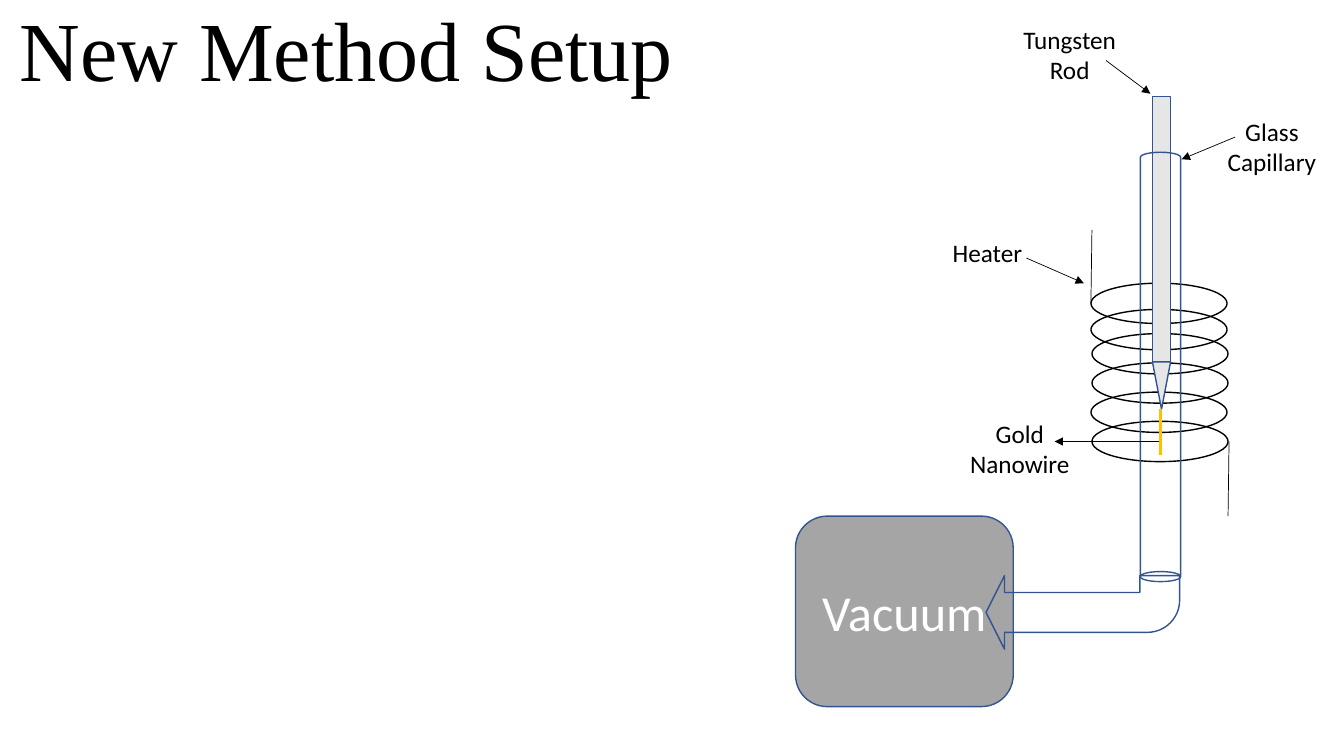
from lxml.etree import SubElement
from pptx import Presentation
from pptx.dml.color import RGBColor
from pptx.enum.shapes import MSO_CONNECTOR, MSO_SHAPE
from pptx.enum.text import MSO_ANCHOR, PP_ALIGN
from pptx.oxml.ns import qn
from pptx.util import Pt

PX = 9144  # 100 px to the inch
COLORS = {
    "black": "000000",
    "white": "FFFFFF",
    "blue": "325491",
    "vacuum": "A5A5A5",
    "tungsten": "E7E6E6",
    "gold": "FFC000",
}

presentation = Presentation()
presentation.slide_width = 1333 * PX
presentation.slide_height = 750 * PX
slide = presentation.slides.add_slide(presentation.slide_layouts[6])


def write(shape, lines, size, font="Calibri", color="black", align=PP_ALIGN.CENTER):
    frame = shape.text_frame
    frame.word_wrap = True
    frame.text = "\n".join(lines)
    for paragraph in frame.paragraphs:
        paragraph.alignment = align
        paragraph.font.size = Pt(size)
        paragraph.font.name = font
        paragraph.font.color.rgb = RGBColor.from_string(COLORS[color])
    return frame


def add_outlined(kind, box, line="blue", fill=None, rotation=0):
    shape = slide.shapes.add_shape(kind, *(value * PX for value in box))
    shape.shadow.inherit = False
    shape.rotation = rotation
    shape.line.color.rgb = RGBColor.from_string(COLORS[line])
    shape.line.width = Pt(1)
    if fill:
        shape.fill.solid()
        shape.fill.fore_color.rgb = RGBColor.from_string(COLORS[fill])
    else:
        shape.fill.background()
    return shape


# Title
title = slide.shapes.add_textbox(0, 0, 687 * PX, 104 * PX)
title_frame = write(title, ["New Method Setup"], 60, "Times New Roman")
title_frame.vertical_anchor = MSO_ANCHOR.BOTTOM
title_frame.paragraphs[0].line_spacing = 0.9

# Vacuum chamber
vacuum = add_outlined(MSO_SHAPE.ROUNDED_RECTANGLE, (789, 512, 216, 189), fill="vacuum")
write(vacuum, ["Vacuum"], 36, color="white").vertical_anchor = MSO_ANCHOR.MIDDLE

# Heater coil
for left, top in [(1083, 418), (1082, 281), (1082, 307),
                  (1083, 331), (1083, 360), (1082, 389)]:
    add_outlined(MSO_SHAPE.OVAL, (left, top, 135, 40), line="black")

# Tungsten rod with its tip, glass capillary and suction pipe
add_outlined(MSO_SHAPE.RECTANGLE, (1143, 96, 18, 263), fill="tungsten")
add_outlined(MSO_SHAPE.ISOSCELES_TRIANGLE, (1143, 359, 18, 47), fill="tungsten", rotation=180)
add_outlined(MSO_SHAPE.CAN, (1131, 151, 40, 426), rotation=180)
pipe = add_outlined(MSO_SHAPE.BENT_ARROW, (978, 571, 192, 73), rotation=180)
for index, value in enumerate([0.542, 0.5, 0.25, 0.438]):
    pipe.adjustments[index] = value

# Coil leads, nanowire and pointers: ends, colour, width, arrowhead
for ends, color, width, has_arrow in [
    ((1083, 228, 1082, 302), "black", 0.5, False),
    ((1219, 438, 1218, 512), "black", 0.5, False),
    ((1151, 406, 1151, 451), "gold", 2.25, False),
    ((1018, 256, 1075, 281), "black", 0.5, True),
    ((1097, 60, 1141, 93), "black", 0.5, True),
    ((1225, 136, 1172, 158), "black", 0.5, True),
    ((1150, 438, 1046, 438), "black", 0.5, True),
]:
    connector = slide.shapes.add_connector(MSO_CONNECTOR.STRAIGHT, *(value * PX for value in ends))
    connector.line.color.rgb = RGBColor.from_string(COLORS[color])
    connector.line.width = Pt(width)
    if has_arrow:
        SubElement(connector.line._get_or_add_ln(), qn("a:tailEnd"), type="triangle")
    SubElement(connector._element.spPr, qn("a:effectLst"))

# Labels
for box, lines, align in [
    ((935, 231, 94, 40), ["Heater"], PP_ALIGN.LEFT),
    ((1003, 19, 116, 71), ["Tungsten Rod"], PP_ALIGN.CENTER),
    ((1199, 110, 125, 71), ["Glass", "Capillary"], PP_ALIGN.CENTER),
    ((950, 410, 123, 71), ["Gold Nanowire"], PP_ALIGN.CENTER),
]:
    label = slide.shapes.add_textbox(*(value * PX for value in box))
    write(label, lines, 18, align=align)

presentation.save("out.pptx")
